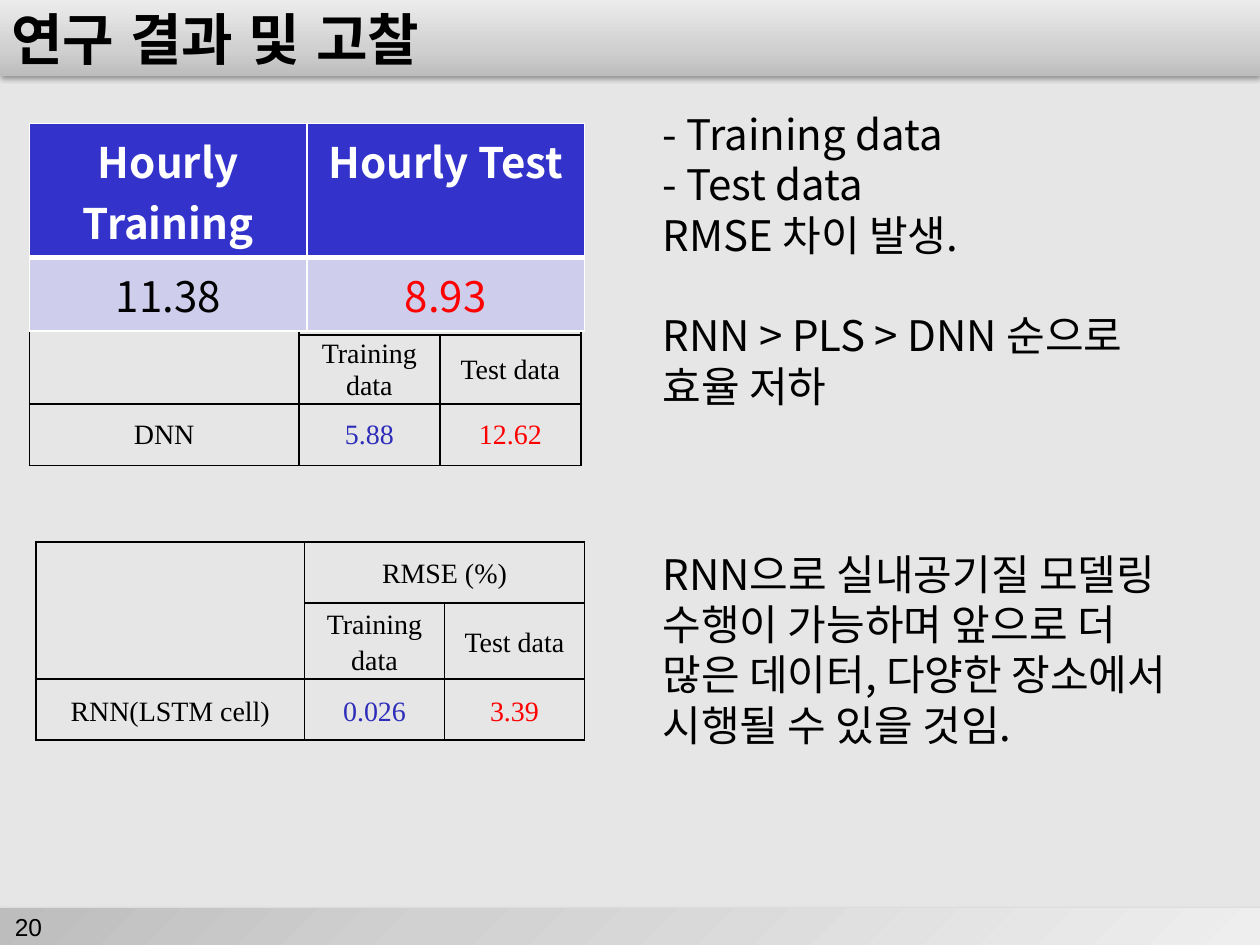
"""Build the research results slide with RMSE tables and conclusions."""
from lxml import etree
from pptx import Presentation
from pptx import util as u
from pptx.dml.color import RGBColor
from pptx.enum import shapes, text
from pptx.oxml import parse_xml
from pptx.oxml.ns import nsdecls, qn

BLACK, WHITE = RGBColor(0, 0, 0), RGBColor(255, 255, 255)
RED, BLUE = RGBColor(255, 0, 0), RGBColor(0x2D, 0x2D, 0xB9)
HEADER, BAND = RGBColor(0x33, 0x33, 0xCC), RGBColor(0xCE, 0xCE, 0xEC)
BACKDROP = RGBColor(0xE6, 0xE6, 0xE6)
STOPS = [(0, "BDBDBD"), (35, "D1D1D1"), (100, "EEEEEE")]
KOREAN, SERIF = "Noto Sans CJK KR", "Times New Roman"
MIDDLE, LEFT, CENTER = text.MSO_ANCHOR.MIDDLE, text.PP_ALIGN.LEFT, text.PP_ALIGN.CENTER

TITLE, PAGE_NUMBER = "연구 결과 및 고찰", "20"
BARS = [((0, -2.2, 720, 45.4), 270), ((0, 519.1, 720, 20.9), 45)]
NOTES = [
    ((371.5, 58.3, 306, 181.4), [
        ("- Training data", 0), ("- Test data", 0), ("RMSE 차이 발생.", 0),
        ("RNN > PLS > DNN 순으로 효율 저하", 28.8)]),
    ((371.5, 309.6, 316, 123.8), [
        ("RNN으로 실내공기질 모델링 수행이 가능하며 앞으로 더 많은 데이터, "
         "다양한 장소에서 시행될 수 있을 것임.", 0)]),
]
DNN = {"place": (16.8, 156.2), "columns": (154, 80.6, 80.6), "rows": (35.2, 39.6, 35.2),
       "spacing": 1.03, "heading": None, "values": ("DNN", "5.88", "12.62")}
RNN = {"place": (20.6, 309.6), "columns": (153.4, 80, 80), "rows": (35, 43.2, 35),
       "spacing": 1.13, "heading": "RMSE (%)", "values": ("RNN(LSTM cell)", "0.026", "3.39")}
HOURLY = {"place": (16.8, 70.6), "columns": (158.6, 158.6), "rows": (76.6, 42)}
HOURLY_CELLS = [
    [("Hourly Training", WHITE), ("Hourly Test", WHITE)],
    [("11.38", BLACK), ("8.93", RED)],
]


def apply(target, values):
    for name, value in values.items():
        setattr(target, name, value)


def write(para, words, size, font, color=BLACK, bold=False, **layout):
    span = para.add_run()
    span.text = words
    apply(span.font, {"size": u.Pt(size), "name": font, "bold": bold})
    span.font.color.rgb = color
    east = etree.SubElement(span.font._element, qn("a:ea"))
    east.set("typeface", font)
    apply(para, layout)


def add_bar(page, place, angle):
    bar = page.shapes.add_shape(shapes.MSO_SHAPE.RECTANGLE, *map(u.Pt, place))
    bar.line.fill.background()
    bar.fill.gradient()
    stops = "".join(f'<a:gs pos="{pos * 1000}"><a:srgbClr val="{color}"/></a:gs>'
                    for pos, color in STOPS)
    gradient = parse_xml(f'<a:gradFill {nsdecls("a")}><a:gsLst>{stops}</a:gsLst>'
                         f'<a:lin ang="{angle * 60000}" scaled="0"/></a:gradFill>')
    properties = bar.element.spPr
    properties.replace(properties.find(qn("a:gradFill")), gradient)
    properties.append(parse_xml(
        f'<a:effectLst {nsdecls("a")}><a:outerShdw blurRad="39400" dist="20300" '
        'dir="5400000" rotWithShape="0"><a:srgbClr val="000000"><a:alpha val="38000"/>'
        '</a:srgbClr></a:outerShdw></a:effectLst>'))
    page.shapes.title.element.addprevious(bar.element)


def set_borders(cell, color, **widths):
    properties = cell._tc.get_or_add_tcPr()
    for index, side in enumerate("LRTB"):
        width = u.Pt(widths.get(side, 1))
        properties.insert(index, parse_xml(
            f'<a:ln{side} {nsdecls("a")} w="{width}"><a:solidFill>'
            f'<a:srgbClr val="{color}"/></a:solidFill></a:ln{side}>'))


def add_grid(page, data):
    columns, rows = data["columns"], data["rows"]
    place = (*data["place"], sum(columns), sum(rows))
    grid = page.shapes.add_table(len(rows), len(columns), *map(u.Pt, place)).table
    apply(grid, {"first_row": False, "horz_banding": False})
    for column, width in zip(grid.columns, columns):
        column.width = u.Pt(width)
    for row, height in zip(grid.rows, rows):
        row.height = u.Pt(height)
    return grid


def add_rmse(page, data):
    grid = add_grid(page, data)
    for cell in grid.iter_cells():
        cell.fill.background()
        set_borders(cell, BLACK)
        apply(cell, {"vertical_anchor": MIDDLE, "margin_left": u.Pt(5), "margin_right": u.Pt(5),
                     "margin_top": 0, "margin_bottom": 0})
    grid.cell(0, 0).merge(grid.cell(1, 0))
    grid.cell(0, 1).merge(grid.cell(0, 2))
    entries = [(1, 1, "Training data", BLACK), (1, 2, "Test data", BLACK)]
    if data["heading"]:
        entries.append((0, 1, data["heading"], BLACK))
    entries += [(2, column, words, color) for column, (words, color)
                in enumerate(zip(data["values"], (BLACK, BLUE, RED)))]
    for row, column, words, color in entries:
        write(grid.cell(row, column).text_frame.paragraphs[0], words, 16, SERIF, color,
              alignment=CENTER, line_spacing=data["spacing"])


def add_hourly(page):
    grid = add_grid(page, HOURLY)
    for row, entries in enumerate(HOURLY_CELLS):
        for column, (words, color) in enumerate(entries):
            cell = grid.cell(row, column)
            cell.fill.solid()
            cell.fill.fore_color.rgb = BAND if row else HEADER
            set_borders(cell, WHITE, **({"T": 3} if row else {"B": 3}))
            write(cell.text_frame.paragraphs[0], words, 24, KOREAN, color, row == 0,
                  alignment=CENTER)


def add_note(page, place, lines):
    frame = page.shapes.add_textbox(*map(u.Pt, place)).text_frame
    apply(frame, {"word_wrap": True, "margin_top": u.Pt(3.6)})
    for index, (words, gap) in enumerate(lines):
        para = frame.add_paragraph() if index else frame.paragraphs[0]
        write(para, words, 24, KOREAN, line_spacing=u.Pt(28.8), space_before=u.Pt(gap))


def main():
    deck = Presentation()
    apply(deck, {"slide_width": u.Pt(720), "slide_height": u.Pt(540)})
    page = deck.slides.add_slide(deck.slide_layouts[5])
    page.background.fill.solid()
    page.background.fill.fore_color.rgb = BACKDROP
    for place, angle in BARS:
        add_bar(page, place, angle)
    title = page.shapes.title
    apply(title, dict(zip(("left", "top", "width", "height"), map(u.Pt, (-0.7, 0, 720.7, 43.2)))))
    number = page.shapes.add_textbox(*map(u.Pt, (1.4, 519.1, 149.8, 20.9)))
    for box, words, size, bold in ((title, TITLE, 32, True), (number, PAGE_NUMBER, 14, False)):
        apply(box.text_frame, {"word_wrap": True, "vertical_anchor": MIDDLE})
        write(box.text_frame.paragraphs[0], words, size, "Arial", bold=bold, alignment=LEFT)
    add_rmse(page, DNN)
    add_hourly(page)
    for place, lines in NOTES:
        add_note(page, place, lines)
    add_rmse(page, RNN)
    deck.save("out.pptx")


if __name__ == "__main__":
    main()
